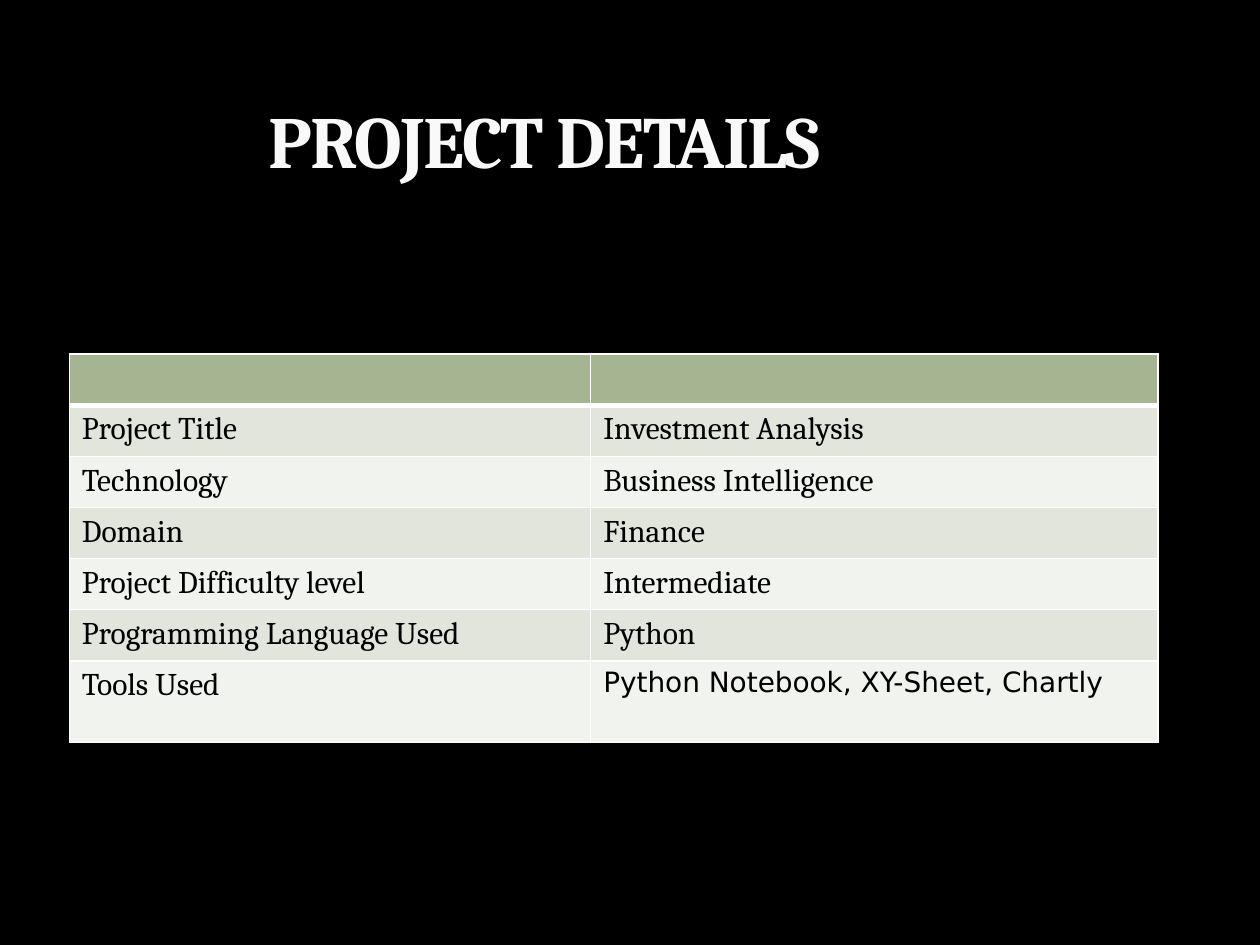
from dataclasses import dataclass

from lxml import etree
from pptx import Presentation
from pptx.dml.color import RGBColor
from pptx.enum.text import MSO_ANCHOR
from pptx.oxml.ns import qn
from pptx.util import Pt

BOTTOM = MSO_ANCHOR.BOTTOM


@dataclass(frozen=True)
class Theme:
    background: str = "000000"
    title: str = "F9F9F9"
    text: str = "000000"
    border: str = "FFFFFF"
    header: str = "A5B592"
    bands: tuple = ("E1E5DC", "F0F3EE")
    font: str = "Cambria"
    tools_font: str = "DejaVu Sans"
    title_size: int = 42
    cell_size: int = 18
    tools_size: int = 16


THEME = Theme()

DETAILS = [
    ("Project Title", "Investment Analysis"),
    ("Technology", "Business Intelligence"),
    ("Domain", "Finance"),
    ("Project Difficulty level", "Intermediate"),
    ("Programming Language Used", "Python"),
    ("Tools Used", "Python Notebook, XY-Sheet, Chartly"),
]
COLUMN_SHARES = (0.479, 0.521)
ROW_HEIGHT = 29.2


def add_span(para, text, font, size, color, bold=False):
    span = para.add_run()
    span.text = text
    span.font.name = font
    span.font.size = Pt(size)
    span.font.bold = bold
    span.font.color.rgb = RGBColor.from_string(color)
    return span


def fill_cell(cell, color):
    cell.fill.solid()
    cell.fill.fore_color.rgb = RGBColor.from_string(color)


def set_borders(cell, bottom=1, top=1):
    """Borders go before the fill in the cell properties."""
    properties = cell._tc.get_or_add_tcPr()
    widths = {"a:lnL": 1, "a:lnR": 1, "a:lnT": top, "a:lnB": bottom}
    for index, (tag, width) in enumerate(widths.items()):
        line = etree.Element(qn(tag), w=str(Pt(width)))
        solid = etree.SubElement(line, qn("a:solidFill"))
        etree.SubElement(solid, qn("a:srgbClr"), val=THEME.border)
        properties.insert(index, line)


def add_title(page, left, top, width, height):
    box = page.shapes.add_textbox(Pt(left), Pt(top), Pt(width), Pt(height))
    frame = box.text_frame
    frame.word_wrap = True
    frame.vertical_anchor = BOTTOM
    span = add_span(frame.paragraphs[0], "PROJECT DETAILS", THEME.font,
                    THEME.title_size, THEME.title, bold=True)
    span.font._element.set("spc", "-100")


def add_details_table(page, left, top, width, height):
    rows = len(DETAILS) + 1
    table = page.shapes.add_table(rows, len(COLUMN_SHARES), Pt(left), Pt(top),
                                  Pt(width), Pt(height)).table
    for column, share in zip(table.columns, COLUMN_SHARES):
        column.width = Pt(round(width * share, 2))

    # The last row takes the remaining height
    for row in table.rows:
        row.height = Pt(ROW_HEIGHT)
    table.rows[rows - 1].height = Pt(height - ROW_HEIGHT * (rows - 1))

    # Empty header row with a heavy lower rule
    for cell in table.rows[0].cells:
        fill_cell(cell, THEME.header)
        set_borders(cell, bottom=3)

    # Banded body rows
    for index, texts in enumerate(DETAILS):
        for column, text in enumerate(texts):
            cell = table.cell(index + 1, column)
            fill_cell(cell, THEME.bands[index % 2])
            set_borders(cell, top=3 if index == 0 else 1)
            is_tools = index == len(DETAILS) - 1 and column == 1
            font = THEME.tools_font if is_tools else THEME.font
            size = THEME.tools_size if is_tools else THEME.cell_size
            add_span(cell.text_frame.paragraphs[0], text, font, size, THEME.text)


def main():
    deck = Presentation()
    deck.slide_width, deck.slide_height = Pt(720), Pt(540)
    page = deck.slides.add_slide(deck.slide_layouts[6])
    page.background.fill.solid()
    page.background.fill.fore_color.rgb = RGBColor.from_string(THEME.background)

    add_details_table(page, 39.6, 202.4, 622, 222)
    add_title(page, 146.2, 12.2, 537.8, 95.8)
    deck.save("out.pptx")


if __name__ == "__main__":
    main()
